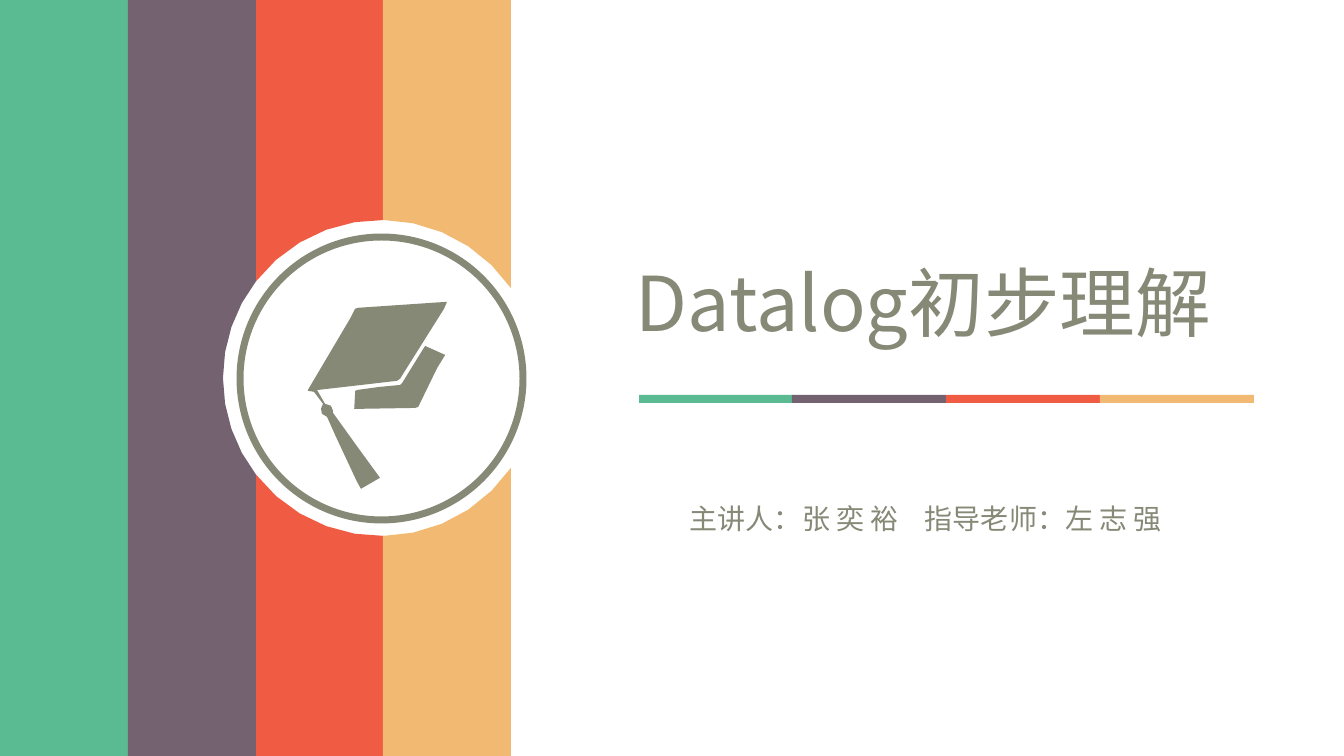
from math import acos, cos, pi, radians, sin
from lxml import etree
from pptx import Presentation
from pptx.dml.color import RGBColor
from pptx.enum.shapes import MSO_SHAPE
from pptx.enum.text import MSO_ANCHOR, MSO_AUTO_SIZE
from pptx.oxml.ns import qn
from pptx.util import Emu, Pt

RECT = MSO_SHAPE.RECTANGLE
OVAL = MSO_SHAPE.OVAL
TOP = MSO_ANCHOR.TOP
GROW = MSO_AUTO_SIZE.SHAPE_TO_FIT_TEXT

GREEN = RGBColor(0x5A, 0xBB, 0x93)
PLUM = RGBColor(0x75, 0x62, 0x71)
RED = RGBColor(0xEF, 0x5B, 0x43)
SAND = RGBColor(0xF2, 0xB9, 0x73)
OLIVE = RGBColor(0x85, 0x89, 0x76)
HUES = [GREEN, PLUM, RED, SAND]

WIDE, HIGH = 1344, 756
SCALE = 914400 / 100.8
MID_X, MID_Y, RADIUS = 381, 378, 158


def px(n):
    return Emu(round(n * SCALE))


class Page:
    def __init__(self, slide, font, ink):
        self.shapes = slide.shapes
        self.font = font
        self.ink = ink

    def paint(self, shape, fill):
        shape.shadow.inherit = False
        shape.fill.solid()
        shape.fill.fore_color.rgb = fill
        shape.line.fill.background()

    def rect(self, x, y, w, h, fill):
        self.paint(self.shapes.add_shape(RECT, px(x), px(y), px(w), px(h)), fill)

    def ring(self, x, y, size, width):
        shape = self.shapes.add_shape(OVAL, px(x), px(y), px(size), px(size))
        shape.shadow.inherit = False
        shape.fill.background()
        shape.line.color.rgb = self.ink
        shape.line.width = Pt(width)

    def outline(self, loops, fill, turn=0):
        loops = [[(px(x), px(y)) for x, y in loop] for loop in loops]
        path = self.shapes.build_freeform(*loops[0][0])
        path.add_line_segments(loops[0][1:], close=True)
        for loop in loops[1:]:
            path.move_to(*loop[0])
            path.add_line_segments(loop[1:], close=True)
        shape = path.convert_to_shape()
        shape.rotation = turn
        self.paint(shape, fill)

    def text(self, x, y, w, h, words, size):
        frame = self.shapes.add_textbox(px(x), px(y), px(w), px(h)).text_frame
        frame.word_wrap = False
        frame.auto_size = GROW
        frame.vertical_anchor = TOP
        frame.text = words
        for run in frame.paragraphs[0].runs:
            run.font.size = Pt(size)
            run.font.name = self.font
            run.font.color.rgb = self.ink
            east = etree.SubElement(run.font._element, qn("a:ea"))
            east.set("typeface", self.font)


def arc(start, end, steps):
    angles = [start + (end - start) * i / steps for i in range(steps + 1)]
    return [(MID_X + RADIUS * cos(a), MID_Y - RADIUS * sin(a)) for a in angles]


def angle(x):
    return acos((x - MID_X) / RADIUS)


def halves(left, right):
    upper = arc(angle(right), angle(left), 5)
    lower = arc(-angle(left), -angle(right), 5)
    return [
        [(left, 0), (right, 0), *upper],
        [(left, HIGH), *lower, (right, HIGH)],
    ]


def spin(points, x, y, turn):
    c, s = cos(radians(turn)), sin(radians(turn))
    return [
        (x + (a - x) * c + (b - y) * s, y - (a - x) * s + (b - y) * c)
        for a, b in points
    ]


deck = Presentation()
deck.slide_width, deck.slide_height = px(WIDE), px(HIGH)
page = Page(deck.slides.add_slide(deck.slide_layouts[6]), "Noto Sans CJK SC", OLIVE)

BAND = 128
page.rect(0, 0, BAND, HIGH, GREEN)
edge = 2 * BAND
bite = arc(angle(edge), 2 * pi - angle(edge), 8)
page.outline([[(BAND, 0), (edge, 0), *bite, (edge, HIGH), (BAND, HIGH)]], PLUM)
for left, hue in [(edge, RED), (383, SAND)]:
    page.outline(halves(left, left + BAND), hue)

for i, hue in enumerate(HUES):
    page.rect(639 + i * 615 // 4, 395, 154, 8, hue)

CAP = [
    (317, 390), (325, 404), (331, 406), (333, 411), (333, 413),
    (356, 445), (380, 478), (361, 489), (357, 482), (336, 437), (327, 417),
    (322, 414), (321, 409), (323, 404), (314, 392), (308, 391), (308, 390),
    (350, 319), (355, 309), (358, 308), (432, 303), (447, 302), (444, 309),
    (400, 379), (397, 381), (319, 390),
]
BASE = [
    (354, 409), (355, 391), (357, 390), (379, 387), (400, 385), (402, 383),
    (423, 349), (425, 346), (445, 355), (437, 368), (418, 407), (415, 408),
]
TURN = 329.4
page.ring(240, 237, 283, 5)
page.outline([spin(CAP, 394, 378, TURN)], OLIVE, TURN)
page.outline([spin(BASE, 403, 388, TURN)], OLIVE, TURN)

page.text(626, 251, 615, 102, "Datalog初步理解", 54)
page.text(680, 497, 235, 44, "主讲人：张 奕 裕", 20)
page.text(915, 497, 263, 44, "指导老师：左 志 强", 20)

deck.save("out.pptx")
